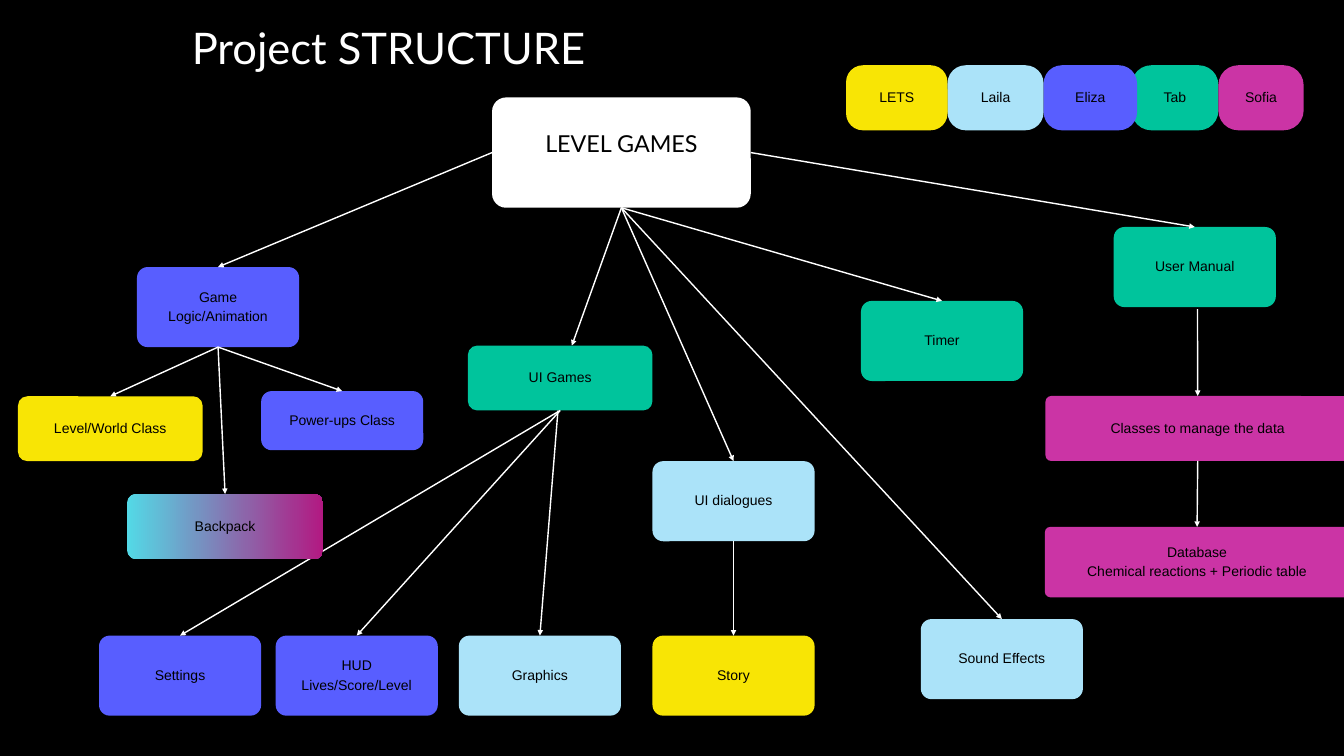
from lxml import etree
from pptx import Presentation
from pptx.dml.color import RGBColor
from pptx.enum import shapes, text
from pptx.oxml.ns import qn
from pptx.util import Pt

BLACK, WHITE = "000000", "FFFFFF"
GREEN, BLUE, SKY = "00C49C", "585EFF", "ABE3F9"
YELLOW, PINK = "F8E505", "CB34A5"
LEFT, BOTTOM, RIGHT, TOP = 1, 2, 3, 0


def colour(value):
    return RGBColor.from_string(value)


def add_box(label, left, top, width, height, fill, radius, size=15, spacing=21, lift=4.8):
    """Add a rounded box; lift is the extra bottom inset that raises its label."""
    box = page.shapes.add_shape(shapes.MSO_SHAPE.ROUNDED_RECTANGLE,
                                Pt(left), Pt(top), Pt(width), Pt(height))
    box.adjustments[0] = radius / min(width, height)
    box.shadow.inherit = False
    box.line.fill.background()
    if isinstance(fill, tuple):
        box.fill.gradient()
        box.fill.gradient_angle = 0
        for stop, value in zip(box.fill.gradient_stops, fill):
            stop.color.rgb = colour(value)
    else:
        box.fill.solid()
        box.fill.fore_color.rgb = colour(fill)
    frame = box.text_frame
    frame.word_wrap = True
    frame.vertical_anchor = text.MSO_ANCHOR.MIDDLE
    frame.margin_left = frame.margin_right = Pt(16)
    frame.margin_top, frame.margin_bottom = Pt(0), Pt(lift)
    for index, line in enumerate(label.split("\n")):
        para = frame.add_paragraph() if index else frame.paragraphs[0]
        para.alignment = text.PP_ALIGN.CENTER
        para.line_spacing = Pt(spacing)
        span = para.add_run()
        span.text = line
        span.font.name = "Lato" if size > 15 else "Arial"
        span.font.size = Pt(size)
        span.font.color.rgb = colour(BLACK)
    return box


deck = Presentation()
deck.slide_width, deck.slide_height = Pt(1440), Pt(810)
page = deck.slides.add_slide(deck.slide_layouts[5])
page.background.fill.solid()
page.background.fill.fore_color.rgb = colour(BLACK)

# Title
title = page.shapes.title
title.left, title.top, title.width, title.height = Pt(52.6), Pt(22.3), Pt(727.2), Pt(59)
frame = title.text_frame
frame.word_wrap = True
frame.auto_size = text.MSO_AUTO_SIZE.NONE
frame.vertical_anchor = text.MSO_ANCHOR.TOP
frame.margin_left = frame.margin_right = frame.margin_top = frame.margin_bottom = Pt(0)
para = frame.paragraphs[0]
para.alignment = text.PP_ALIGN.CENTER
para.line_spacing = Pt(55.9)
span = para.add_run()
span.text = "Project STRUCTURE"
span.font.name = "Lato"
span.font.size = Pt(46.6)
span.font.color.rgb = colour(WHITE)

# Tree: label, left, top, width, height, fill, corner radius, parent, side left from
ROOT = "LEVEL GAMES"
LOGIC, GAMES, DIALOGUES = "Game Logic/Animation", "UI Games", "UI dialogues"
MANUAL, CLASSES = "User Manual", "Classes to manage the data"
W, H, R = 173.7, 85.8, 11.4
LEAF_TOP = 681
nodes = [
    ("Sound Effects", 986.6, 663.3, W, H, SKY, R, ROOT, BOTTOM),
    (GAMES, 501.3, 370.3, 197.8, 69.5, GREEN, 10, ROOT, BOTTOM),
    ("Graphics", 491.6, LEAF_TOP, W, H, SKY, R, GAMES, BOTTOM),
    (DIALOGUES, 699.1, 494.1, W, H, SKY, R, ROOT, BOTTOM),
    ("Story", 699.1, LEAF_TOP, W, H, YELLOW, R, DIALOGUES, BOTTOM),
    (MANUAL, 1193.3, 243.2, W, H, GREEN, R, ROOT, RIGHT),
    (CLASSES, 1120.2, 424.3, 326.2, 69.6, PINK, 6, MANUAL, BOTTOM),
    ("Database\nChemical reactions + Periodic table",
     1119.5, 564.5, 326.2, 75.5, PINK, 6, CLASSES, BOTTOM),
    ("Settings", 106.1, LEAF_TOP, W, H, BLUE, R, GAMES, BOTTOM),
    ("Timer", 922.5, 322.4, W, H, GREEN, R, ROOT, BOTTOM),
    (LOGIC, 146.8, 286.1, W, H, BLUE, R, ROOT, LEFT),
    ("HUD\nLives/Score/Level", 295.4, LEAF_TOP, W, H, BLUE, R, GAMES, BOTTOM),
    ("Level/World Class", 19.3, 424.6, 197.8, 69.5, YELLOW, 10, LOGIC, BOTTOM),
    ("Power-ups Class", 279.8, 419, W, 63.4, BLUE, R, LOGIC, BOTTOM),
    ("Backpack", 136.1, 529.3, 210.1, 69.7, ("53D9E6", "B21982"), 9.5, LOGIC, BOTTOM),
]
# Arrow ends that do not sit at the middle of a side
loose_starts = {"Graphics": (597.8, 440), CLASSES: (1283, 331.2)}
loose_ends = {GAMES: (612.7, 370.3)}

boxes = {ROOT: add_box(ROOT, 527.2, 104.4, 277.2, 118.2, WHITE, 15, 25, 35, 26)}
for label, left, top, width, height, fill, radius, parent, side in nodes:
    boxes[label] = add_box(label, left, top, width, height, fill, radius)
    start = loose_starts.get(label, (0, 0))
    end = loose_ends.get(label, (0, 0))
    link = page.shapes.add_connector(shapes.MSO_CONNECTOR.STRAIGHT,
                                     *map(Pt, start), *map(Pt, end))
    if label not in loose_starts:
        link.begin_connect(boxes[parent], side)
    if label not in loose_ends:
        link.end_connect(boxes[label], TOP)
    link.line.color.rgb = colour(WHITE)
    link.line.width = Pt(1.5)
    etree.SubElement(link.line._get_or_add_ln(), qn("a:tailEnd"), type="triangle")
    etree.SubElement(link._element.spPr, qn("a:effectLst"))

# Legend of team members
legend = [
    ("Tab", 1212.5, 92.9, GREEN, 21),
    ("Laila", 1015.2, 103, SKY, 19.4),
    ("Eliza", 1118.2, 100.1, BLUE, 19.4),
    ("Sofia", 1305.4, 91.4, PINK, 21.3),
    ("LETS", 906.5, 108.7, YELLOW, 18),
]
for name, left, width, fill, radius in legend:
    add_box(name, left, 69.9, width, 69.7, fill, radius)

deck.save("out.pptx")
